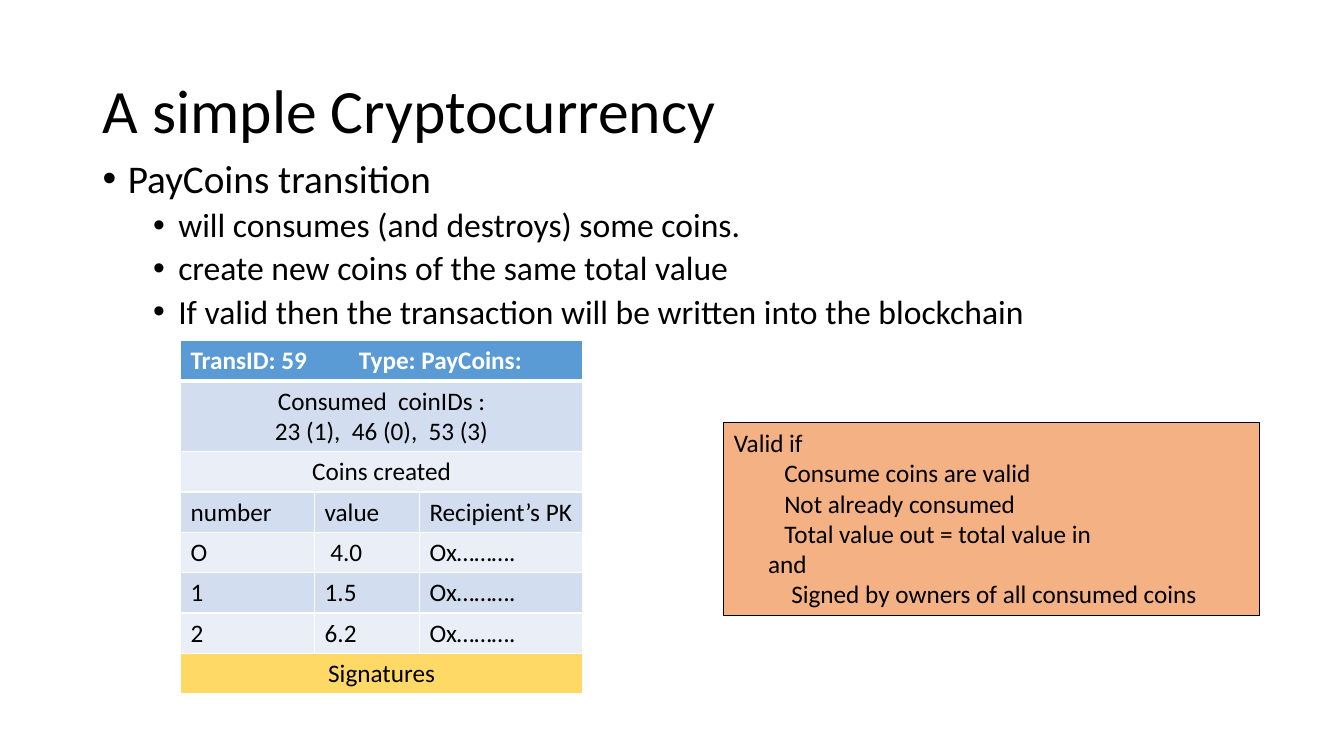
from lxml import etree
from pptx import Presentation
from pptx import util as u
from pptx.dml.color import RGBColor
from pptx.enum import shapes, text
from pptx.oxml import ns

FONT = "Calibri"
BLACK, WHITE = "000000", "FFFFFF"
HEADER, BAND_DARK, BAND_LIGHT, GOLD = "5B9BD5", "D2DEEF", "EAEFF7", "FFD966"
COLUMN_WIDTHS = [1.33, 1.04, 1.62]
COIN_ROWS = [
    ["TransID: 59\tType: PayCoins:"],
    ["Consumed  coinIDs :\n23 (1),  46 (0),  53 (3)"],
    ["Coins created"],
    ["number", "value", "Recipient’s PK"],
    ["O", " 4.0", "Ox………."],
    ["1", "1.5", "Ox………."],
    ["2", "6.2", "Ox………."],
    ["Signatures"],
]
BULLETS = [
    ("PayCoins transition", 0),
    ("will consumes (and destroys) some coins.", 1),
    ("create new coins of the same total value", 1),
    ("If valid then the transaction will be written into the blockchain", 1),
]
RULES = [
    ("Valid if", 0),
    ("Consume coins are valid", 0.5),
    ("Not already consumed", 0.5),
    ("Total value out = total value in", 0.5),
    ("and", 0.34),
    ("Signed by owners of all consumed coins", 0.57),
]


def rgb(value):
    """Turn a hex string into a colour."""
    return RGBColor.from_string(value)


def add_element(parent, tag, **attributes):
    """Append a DrawingML element to its parent."""
    return etree.SubElement(parent, ns.qn(tag), attributes)


def format_runs(para, size, color=BLACK, bold=False):
    """Format every run of a paragraph."""
    for span in para.runs:
        span.font.name = FONT
        span.font.size = u.Pt(size)
        span.font.bold = bold
        span.font.color.rgb = rgb(color)


def indent(para, left, first=0):
    """Set the left margin and first-line indent in inches."""
    properties = para._p.get_or_add_pPr()
    properties.set("marL", str(u.Inches(left)))
    properties.set("indent", str(u.Inches(first)))
    return properties


def place(shape, left, top, width, height):
    """Position a shape, in inches."""
    shape.left, shape.top = u.Inches(left), u.Inches(top)
    shape.width, shape.height = u.Inches(width), u.Inches(height)


def add_title(page, wording):
    """Fill and format the title placeholder."""
    title = page.shapes.title
    place(title, 0.92, 0.4, 11.5, 1.45)
    frame = title.text_frame
    frame.text = wording
    frame.auto_size = text.MSO_AUTO_SIZE.NONE
    frame.vertical_anchor = text.MSO_ANCHOR.MIDDLE
    para = frame.paragraphs[0]
    para.alignment = text.PP_ALIGN.LEFT
    para.line_spacing = 0.9
    format_runs(para, 44)


def add_bullets(page, items):
    """Add the two-level bullet list."""
    box = page.shapes.add_textbox(
        u.Inches(0.92), u.Inches(1.53), u.Inches(10.7), u.Inches(1.85))
    frame = box.text_frame
    frame.word_wrap = True
    frame.text = "\n".join(wording for wording, _ in items)
    for para, (_, level) in zip(frame.paragraphs, items):
        para.level = level
        para.line_spacing = 0.9
        para.space_before = u.Pt(5 if level else 10)
        properties = indent(para, 0.25 + 0.5 * level, -0.25)
        add_element(properties, "a:buFont", typeface="Arial")
        add_element(properties, "a:buChar", char="•")
        format_runs(para, 24 if level else 28)


def add_borders(cell, top=1, bottom=1):
    """Give a cell white borders with widths in points."""
    properties = cell._tc.get_or_add_tcPr()
    widths = {"a:lnL": 1, "a:lnR": 1, "a:lnT": top, "a:lnB": bottom}
    for tag, width in widths.items():
        line = add_element(properties, tag, w=str(u.Pt(width)))
        fill = add_element(line, "a:solidFill")
        add_element(fill, "a:srgbClr", val=WHITE)


def row_fill(index):
    """Choose the fill colour of a table row."""
    if index == 0:
        return HEADER
    if index == len(COIN_ROWS) - 1:
        return GOLD
    return BAND_DARK if index % 2 else BAND_LIGHT


def fill_cell(cell, wording, centered, header):
    """Write and format the text of a cell."""
    cell.text_frame.text = wording
    for para in cell.text_frame.paragraphs:
        if centered:
            para.alignment = text.PP_ALIGN.CENTER
        if header:
            tabs = add_element(para._p.get_or_add_pPr(), "a:tabLst")
            add_element(tabs, "a:tab", pos=str(u.Inches(1.67)), algn="l")
        format_runs(para, 18, WHITE if header else BLACK, header)


def add_coin_table(page):
    """Add the transaction table."""
    table = page.shapes.add_table(
        len(COIN_ROWS), len(COLUMN_WIDTHS), u.Inches(1.79), u.Inches(3.38),
        u.Inches(sum(COLUMN_WIDTHS)), u.Inches(3.5)).table
    for column, width in zip(table.columns, COLUMN_WIDTHS):
        column.width = u.Inches(width)
    for index, wordings in enumerate(COIN_ROWS):
        lines = wordings[0].count("\n") + 1
        table.rows[index].height = u.Inches(0.1 + 0.3 * lines)
        for cell in table.rows[index].cells:
            add_borders(cell, 3 if index == 1 else 1, 3 if index == 0 else 1)
            cell.fill.solid()
            cell.fill.fore_color.rgb = rgb(row_fill(index))
        merged = len(wordings) == 1
        if merged:
            table.cell(index, 0).merge(table.cell(index, len(COLUMN_WIDTHS) - 1))
        for column, wording in enumerate(wordings):
            fill_cell(table.cell(index, column), wording,
                      merged and index > 0, index == 0)
    table.cell(len(COIN_ROWS) - 1, 0).vertical_anchor = text.MSO_ANCHOR.MIDDLE


def add_rules_box(page, items):
    """Add the box with the validity rules."""
    box = page.shapes.add_shape(
        shapes.MSO_SHAPE.RECTANGLE, u.Inches(7.18), u.Inches(4.19),
        u.Inches(5.31), u.Inches(1.92))
    box.shadow.inherit = False
    box.fill.solid()
    box.fill.fore_color.rgb = rgb("F4B183")
    box.line.color.rgb = rgb(BLACK)
    box.line.width = u.Pt(0.75)
    frame = box.text_frame
    frame.word_wrap = True
    frame.auto_size = text.MSO_AUTO_SIZE.SHAPE_TO_FIT_TEXT
    frame.vertical_anchor = text.MSO_ANCHOR.TOP
    frame.text = "\n".join(wording for wording, _ in items)
    for para, (_, left) in zip(frame.paragraphs, items):
        para.alignment = text.PP_ALIGN.LEFT
        indent(para, left)
        format_runs(para, 18)


def main():
    """Build and save the slide."""
    deck = Presentation()
    deck.slide_width, deck.slide_height = u.Inches(13.33), u.Inches(7.5)
    page = deck.slides.add_slide(deck.slide_layouts.get_by_name("Title Only"))
    add_title(page, "A simple Cryptocurrency")
    add_bullets(page, BULLETS)
    add_coin_table(page)
    add_rules_box(page, RULES)
    deck.save("out.pptx")


if __name__ == "__main__":
    main()
